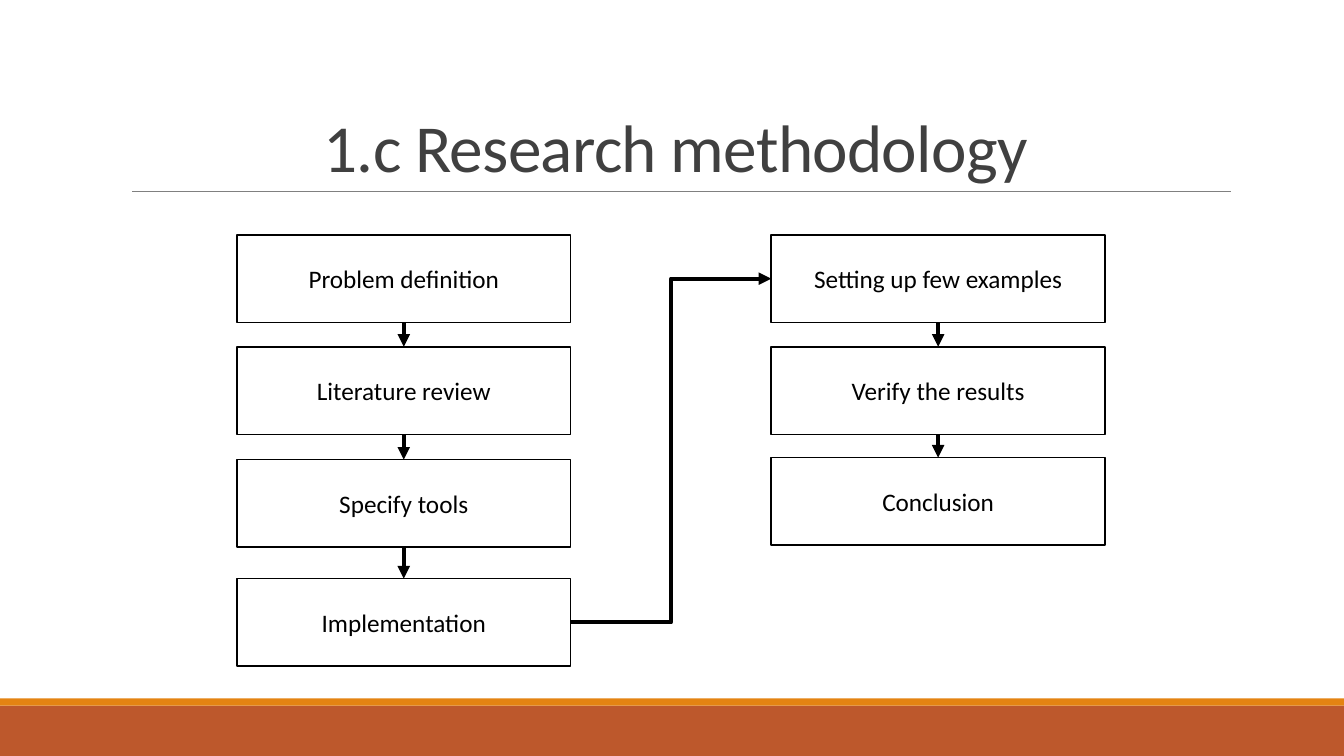
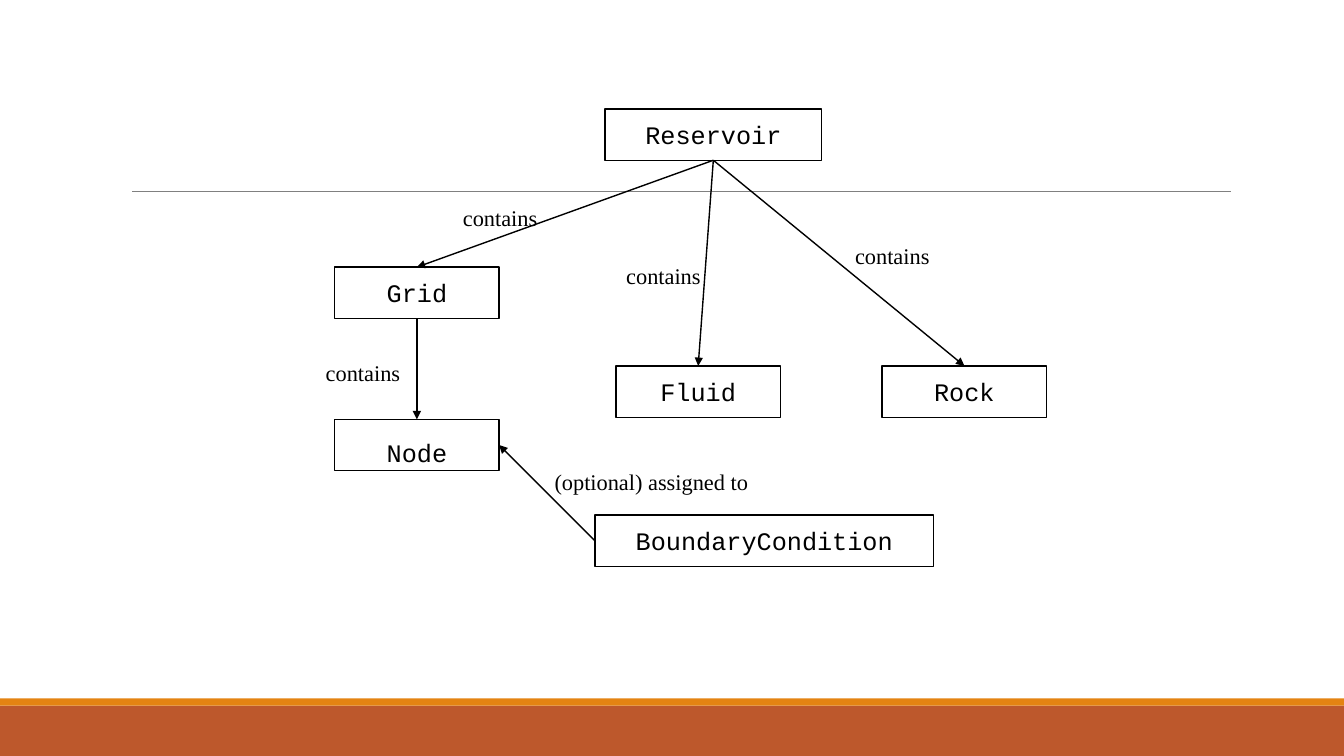
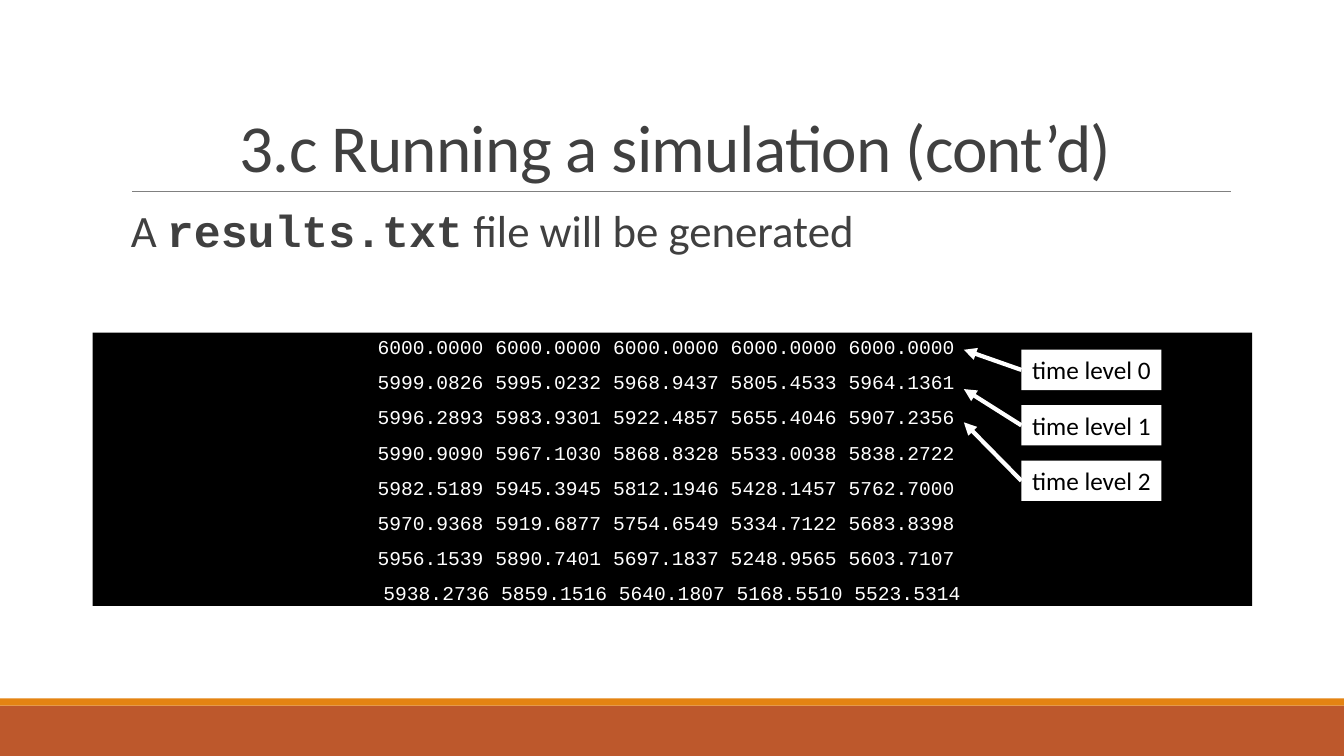
from lxml.etree import SubElement
from pptx import Presentation
from pptx.dml.color import RGBColor
from pptx.enum.shapes import MSO_CONNECTOR, MSO_SHAPE
from pptx.enum.text import MSO_ANCHOR, MSO_AUTO_SIZE, PP_ALIGN
from pptx.oxml.ns import qn
from pptx.util import Inches, Pt

RECT = MSO_SHAPE.RECTANGLE
STRAIGHT, ELBOW = MSO_CONNECTOR.STRAIGHT, MSO_CONNECTOR.ELBOW
TOP, MIDDLE, BOTTOM = MSO_ANCHOR.TOP, MSO_ANCHOR.MIDDLE, MSO_ANCHOR.BOTTOM
LEFT, CENTER = PP_ALIGN.LEFT, PP_ALIGN.CENTER
FIXED, GROW = MSO_AUTO_SIZE.NONE, MSO_AUTO_SIZE.SHAPE_TO_FIT_TEXT
SIDE_TOP, SIDE_LEFT, SIDE_BOTTOM, SIDE_RIGHT = range(4)

WIDTH, HEIGHT = 13.33, 7.5
TITLE_ONLY, BLANK = 5, 6
BLACK, WHITE, GREY = "000000", "FFFFFF", "404040"
RUST, ORANGE, RULE = "BD582C", "E48312", "808080"
SANS, MONO, SERIF = "Calibri", "Courier New", "Times New Roman"

TITLE_FONT = {"name": SANS, "size": Pt(48)}
STEP_FONT = {"name": SANS, "size": Pt(18)}
CLASS_FONT = {"name": MONO, "size": Pt(18)}
RELATION_FONT = {"name": SERIF, "size": Pt(16)}
CONSOLE_FONT = {"name": MONO, "size": Pt(14)}
BODY_FONT = {"name": SANS, "size": Pt(32)}
CODE_FONT = {"name": MONO, "size": Pt(32), "bold": True}

STEP_W, STEP_H = 3.31, 0.87
STEP_COLUMNS = [
    (2.35, [("Problem definition", 2.33), ("Literature review", 3.44),
            ("Specify tools", 4.56), ("Implementation", 5.74)]),
    (7.65, [("Setting up few examples", 2.33), ("Verify the results", 3.44),
            ("Conclusion", 4.54)]),
]

CLASS_H = 0.51
CLASSES = {
    "Reservoir": (6, 1.08, 2.15),
    "Grid": (3.32, 2.65, 1.63),
    "Node": (3.32, 4.16, 1.63),
    "Fluid": (6.11, 3.63, 1.63),
    "Rock": (8.75, 3.63, 1.63),
    "BoundaryCondition": (5.9, 5.11, 3.36),
}
RELATIONS = [
    ("Reservoir", SIDE_BOTTOM, "Grid", SIDE_TOP, "contains", (4.02, 1.83, 1.88)),
    ("Reservoir", SIDE_BOTTOM, "Fluid", SIDE_TOP, "contains", (5.64, 2.4, 1.88)),
    ("Reservoir", SIDE_BOTTOM, "Rock", SIDE_TOP, "contains", (7.91, 2.21, 1.88)),
    ("Grid", SIDE_BOTTOM, "Node", SIDE_TOP, "contains", (2.66, 3.37, 1.88)),
    ("BoundaryCondition", SIDE_LEFT, "Node", SIDE_RIGHT,
     "(optional) assigned to", (4.77, 4.45, 3.38)),
]

PRESSURES = [
    "6000.0000 6000.0000 6000.0000 6000.0000 6000.0000 ",
    "5999.0826 5995.0232 5968.9437 5805.4533 5964.1361 ",
    "5996.2893 5983.9301 5922.4857 5655.4046 5907.2356 ",
    "5990.9090 5967.1030 5868.8328 5533.0038 5838.2722 ",
    "5982.5189 5945.3945 5812.1946 5428.1457 5762.7000 ",
    "5970.9368 5919.6877 5754.6549 5334.7122 5683.8398 ",
    "5956.1539 5890.7401 5697.1837 5248.9565 5603.7107 ",
    "5938.2736 5859.1516 5640.1807 5168.5510 5523.5314",
]
LEVEL_X, LEVEL_Y, LEVEL_STEP = 10.13, 3.47, 0.55
TIP_X, TIP_YS = 9.56, (3.47, 3.86, 4.19)


def rgb(value):
    """Return the colour for a hex string."""
    return RGBColor.from_string(value)


def apply(obj, values):
    """Set each attribute named in a dict of format values."""
    for name, value in values.items():
        setattr(obj, name, value)


def write(sp, paragraphs, color=BLACK, align=CENTER, para=None, **frame):
    """Fill a shape with paragraphs, each a list of (text, font) runs."""
    tf = sp.text_frame
    apply(tf, {"word_wrap": True, "vertical_anchor": MIDDLE, **frame})
    for i, runs in enumerate(paragraphs):
        p = tf.add_paragraph() if i else tf.paragraphs[0]
        apply(p, {"alignment": align, **(para or {})})
        for text, font in runs:
            r = p.add_run()
            r.text = text
            apply(r.font, font)
            r.font.color.rgb = rgb(color)


def box(slide, at, fill, line=None, weight=1):
    """Add a flat rectangle, outlined when a line colour is given."""
    sp = slide.shapes.add_shape(RECT, *map(Inches, at))
    sp.shadow.inherit = False
    sp.fill.solid()
    sp.fill.fore_color.rgb = rgb(fill)
    if line:
        sp.line.color.rgb = rgb(line)
        sp.line.width = Pt(weight)
    else:
        sp.line.fill.background()
    return sp


def connector(slide, color, weight, start=(0, 0), end=(0, 0), source=None,
              target=None, kind=STRAIGHT, arrow=True):
    """Add a line between points or (shape, side) joints."""
    cxn = slide.shapes.add_connector(kind, *map(Inches, (*start, *end)))
    if source:
        cxn.begin_connect(*source)
    if target:
        cxn.end_connect(*target)
    cxn.line.color.rgb = rgb(color)
    cxn.line.width = Pt(weight)
    props = cxn.element.spPr
    if arrow:
        SubElement(props.find(qn("a:ln")), qn("a:tailEnd"), type="triangle")
    SubElement(props, qn("a:effectLst"))
    return cxn


def decorate_master(prs, slide):
    """Draw the bands and the title rule, then hand them to the master."""
    parts = [
        box(slide, (0, 7, WIDTH, 0.5), RUST),
        box(slide, (0, 6.93, WIDTH, 0.07), ORANGE),
        connector(slide, RULE, 0.5, (1.31, 1.9), (12.21, 1.9), arrow=False),
    ]
    tree = prs.slide_master.shapes.element
    for i, part in enumerate(parts):
        part.element.xpath(".//p:cNvPr")[0].set("id", str(101 + i))
        tree.insert(2 + i, part.element)


def add_slide(prs, title=None):
    """Add a slide, with a formatted title if one is given."""
    layout = prs.slide_layouts[TITLE_ONLY if title else BLANK]
    slide = prs.slides.add_slide(layout)
    if title:
        sp = slide.shapes.title
        apply(sp, dict(zip(("left", "top", "width", "height"),
                           map(Inches, (1.2, 0.31, 11, 1.59)))))
        write(sp, [[(title, TITLE_FONT)]], GREY, para={"line_spacing": 0.85},
              vertical_anchor=BOTTOM, auto_size=FIXED)
        r = sp.text_frame.paragraphs[0].runs[0]
        r.font.element.set("spc", "-50") if hasattr(r.font, "element") else \
            sp.element.xpath(".//a:rPr")[0].set("spc", "-50")
    return slide


def draw_methodology(slide):
    """Draw the two columns of research steps and their arrows."""
    columns = []
    for x, steps in STEP_COLUMNS:
        column = []
        for text, y in steps:
            sp = box(slide, (x, y, STEP_W, STEP_H), WHITE, BLACK, 1.25)
            write(sp, [[(text, STEP_FONT)]])
            column.append(sp)
        for upper, lower in zip(column, column[1:]):
            connector(slide, BLACK, 3, source=(upper, SIDE_BOTTOM),
                      target=(lower, SIDE_TOP))
        columns.append(column)
    first, second = columns
    connector(slide, BLACK, 3, source=(first[-1], SIDE_RIGHT),
              target=(second[0], SIDE_LEFT), kind=ELBOW)


def draw_classes(slide):
    """Draw the class boxes and their labelled relations."""
    boxes = {}
    for name, (x, y, w) in CLASSES.items():
        sp = boxes[name] = box(slide, (x, y, w, CLASS_H), WHITE, BLACK)
        spacing = 1.5 if name == "Node" else 1.0
        write(sp, [[(name, CLASS_FONT)]], para={"line_spacing": spacing})
    for source, out, target, into, text, (x, y, w) in RELATIONS:
        connector(slide, BLACK, 1, source=(boxes[source], out),
                  target=(boxes[target], into))
        label = slide.shapes.add_textbox(*map(Inches, (x, y, w, 0.66)))
        write(label, [[(text, RELATION_FONT)]])


def draw_results(slide):
    """Draw the sentence, the console output and the time level labels."""
    body = slide.shapes.add_textbox(*map(Inches, (1.2, 2.02, 11, 4.4)))
    runs = [("A ", BODY_FONT), ("results.txt", CODE_FONT),
            (" file will be generated", BODY_FONT)]
    write(body, [runs], GREY, LEFT,
          {"line_spacing": 0.9, "space_before": Pt(12), "space_after": Pt(2)},
          vertical_anchor=TOP, margin_left=Inches(0.1), margin_right=0)
    console = box(slide, (0.92, 3.3, 11.5, 2.71), BLACK)
    write(console, [[(row, CONSOLE_FONT)] for row in PRESSURES], WHITE,
          para={"line_spacing": 0.9, "space_before": Pt(10)},
          vertical_anchor=TOP)
    for i, tip_y in enumerate(TIP_YS):
        y = LEVEL_Y + i * LEVEL_STEP
        label = box(slide, (LEVEL_X, y, 1.39, 0.4), WHITE)
        write(label, [[(f"time level {i}", STEP_FONT)]], vertical_anchor=TOP,
              word_wrap=False, auto_size=GROW)
        connector(slide, WHITE, 3, end=(TIP_X, tip_y),
                  source=(label, SIDE_LEFT))


def main():
    """Build and save the presentation."""
    prs = Presentation()
    prs.slide_width, prs.slide_height = Inches(WIDTH), Inches(HEIGHT)
    methodology = add_slide(prs, "1.c Research methodology")
    decorate_master(prs, methodology)
    draw_methodology(methodology)
    draw_classes(add_slide(prs))
    draw_results(add_slide(prs, "3.c Running a simulation (cont’d)"))
    prs.save("out.pptx")


if __name__ == "__main__":
    main()
